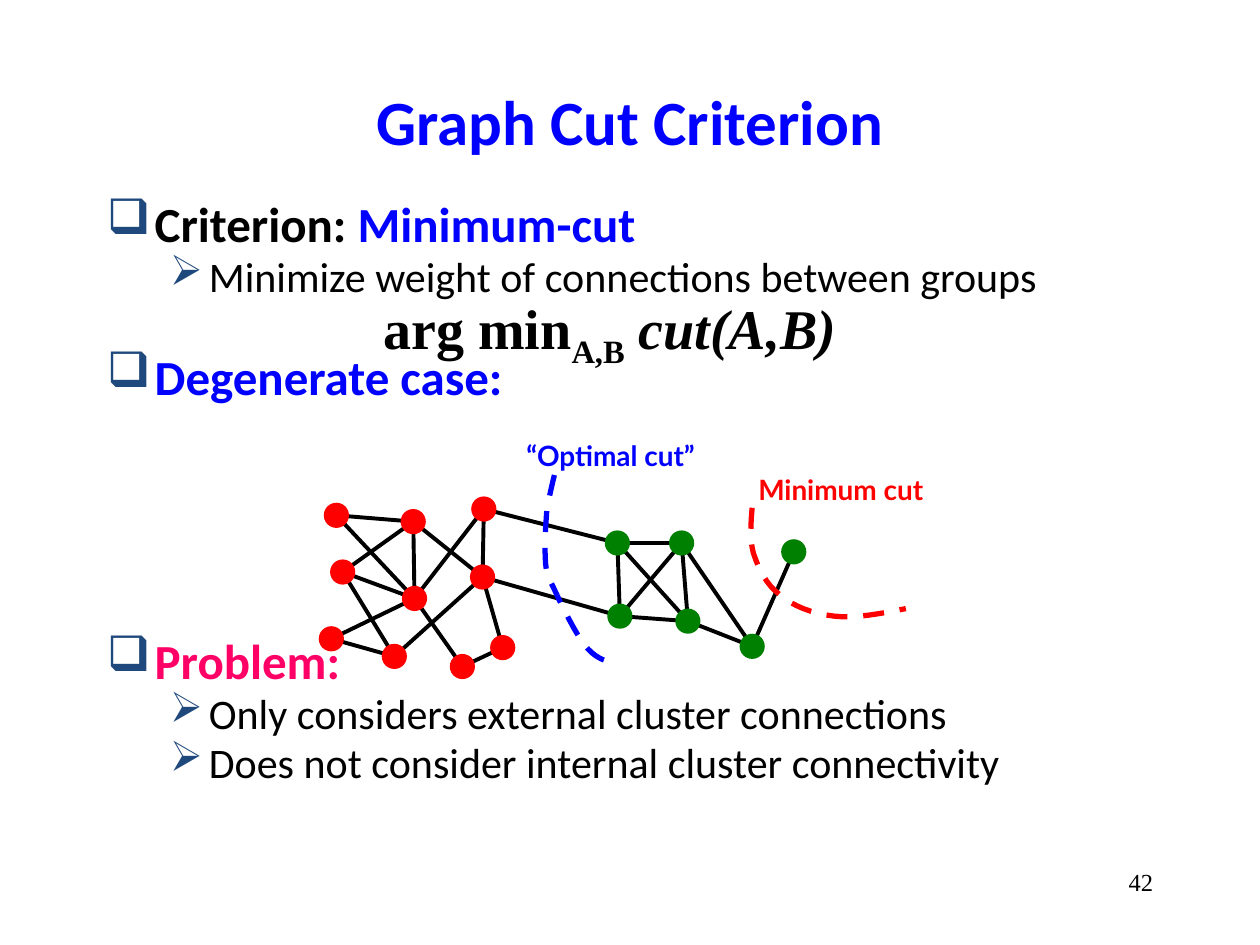
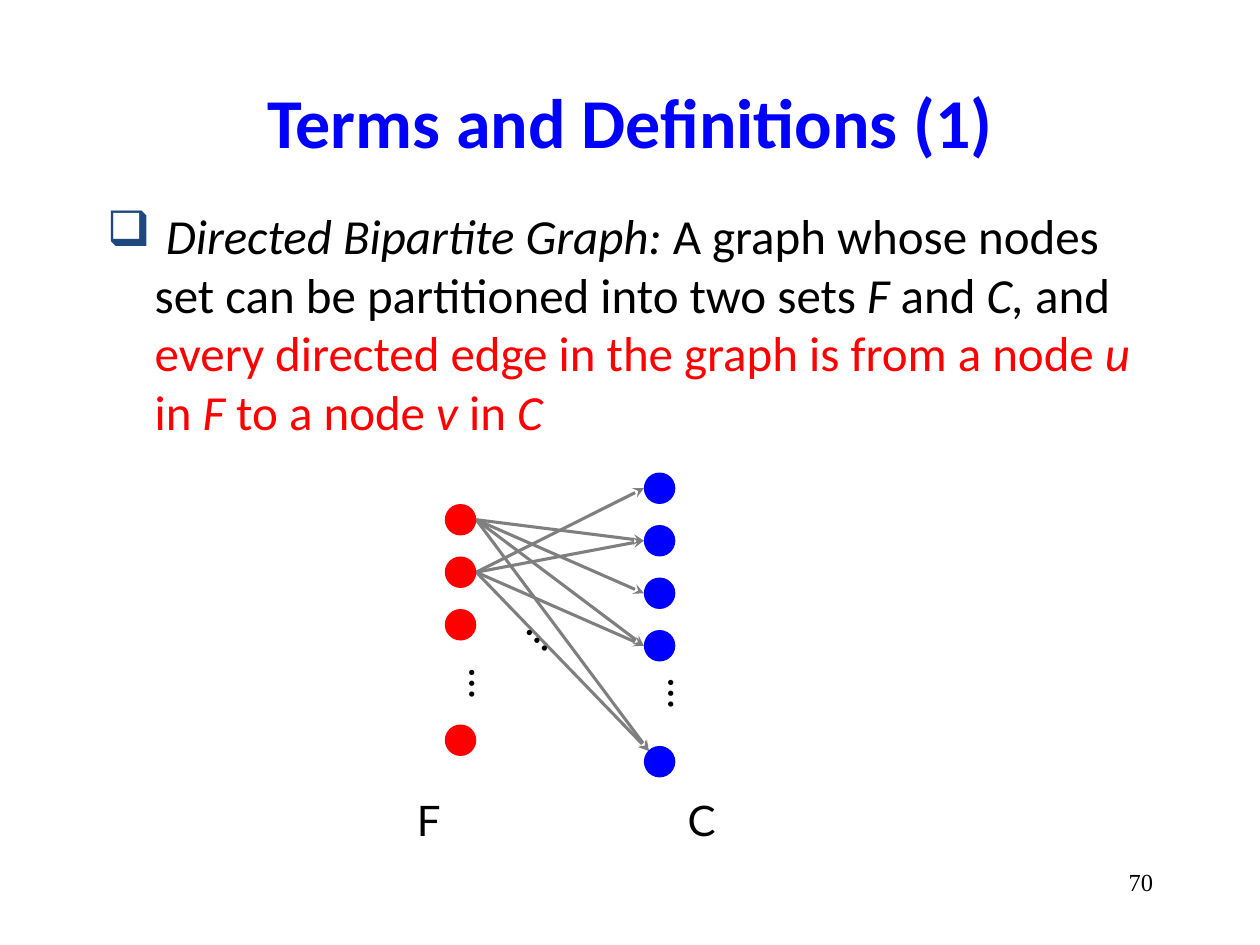
from dataclasses import dataclass

from lxml import etree
from pptx import Presentation
from pptx.dml.color import RGBColor
from pptx.enum.dml import MSO_LINE
from pptx.enum.shapes import MSO_CONNECTOR, MSO_SHAPE
from pptx.enum.text import MSO_ANCHOR, PP_ALIGN
from pptx.oxml.ns import qn
from pptx.util import Inches, Pt


@dataclass(frozen=True)
class Theme:
    black: str = "000000"
    blue: str = "0000FF"
    red: str = "FF0000"
    green: str = "008000"
    pink: str = "FF0066"
    gray: str = "7F7F7F"
    bullet: str = "1F497D"
    body_font: str = "Calibri"
    label_font: str = "Lato"
    serif: str = "Times New Roman"
    bullet_font: str = "OpenSymbol"
    heading: int = 28
    detail: int = 24
    formula: int = 32
    label: int = 16
    number: int = 14


T = Theme()

# Bullet character, left margin and hanging indent in inches, type size
LEVELS = [("❑", 0.38, 0.38, T.heading), ("➢", 0.81, 0.31, T.detail)]

NODE = 0.2
RED_NODES = {
    "a": (2.67, 4.09), "b": (3.28, 4.14), "c": (3.84, 4.04), "d": (2.72, 4.54),
    "e": (3.29, 4.75), "f": (3.83, 4.58), "g": (2.63, 5.07), "h": (3.13, 5.21),
    "i": (3.67, 5.29), "j": (3.99, 5.14),
}
GREEN_NODES = {
    "k": (4.9, 4.31), "l": (5.41, 4.31), "m": (6.3, 4.38),
    "n": (4.92, 4.89), "o": (5.46, 4.93), "p": (5.97, 5.13),
}
GRAPH_EDGES = ("ab ae bd be bf ce cf de dh eg ei fh fj gh ij "
               "ck fn kl kn ko ln lo lp mp no op").split()

# Each cut is a start point followed by Bezier segments
MINIMUM_CUT = (5.97, 4.03), [
    [(5.96, 4.15), (5.95, 4.28), (5.98, 4.39)],
    [(6.02, 4.51), (6.08, 4.64), (6.19, 4.72)],
    [(6.29, 4.81), (6.45, 4.87), (6.62, 4.89)],
    [(6.79, 4.91), (6.99, 4.87), (7.19, 4.83)],
]
OPTIMAL_CUT = (4.4, 3.77), [
    [(4.38, 3.85), (4.36, 3.94), (4.34, 4.05)],
    [(4.33, 4.17), (4.32, 4.36), (4.33, 4.47)],
    [(4.34, 4.58), (4.36, 4.59), (4.41, 4.7)],
    [(4.46, 4.81), (4.57, 5.03), (4.64, 5.12)],
    [(4.72, 5.22), (4.79, 5.24), (4.86, 5.26)],
]

SET_NODE = 0.25
SET_STEP = 1.25 / 3
F_LEFT, C_LEFT = 3.53, 5.11
F_TOPS = [4 + i * SET_STEP for i in range(3)] + [5.75]
C_TOPS = [3.75 + i * SET_STEP for i in range(4)] + [5.92]
SET_EDGES = [(0, 1), (0, 2), (0, 3), (0, 4), (1, 0), (1, 1), (1, 3), (1, 4)]


def rgb(color):
    return RGBColor.from_string(color)


def add_run(p, text, size, font=T.body_font, color=T.black, bold=False,
            italic=False, baseline=None):
    r = p.add_run()
    r.text = text
    f = r.font
    f.size, f.name, f.bold, f.italic = Pt(size), font, bold, italic
    f.color.rgb = rgb(color)
    if baseline:
        r._r.get_or_add_rPr().set("baseline", str(baseline * 1000))


def add_box(slide, left, top, width, height, wrap=True):
    box = slide.shapes.add_textbox(*map(Inches, (left, top, width, height)))
    box.text_frame.word_wrap = wrap
    return box


def add_label(slide, text, at, size, align=PP_ALIGN.LEFT, rotation=0, **fmt):
    box = add_box(slide, *at, wrap=False)
    box.rotation = rotation
    p = box.text_frame.paragraphs[0]
    p.alignment = align
    add_run(p, text, size, **fmt)
    return p


def add_titled_slide(prs, title, size, number):
    slide = prs.slides.add_slide(prs.slide_layouts[5])
    sp = slide.shapes.title
    sp.left, sp.top = Inches(0.75), Inches(0.33)
    sp.width, sp.height = Inches(8.5), Inches(1.25)
    tf = sp.text_frame
    tf.vertical_anchor = MSO_ANCHOR.MIDDLE
    p = tf.paragraphs[0]
    p.alignment = PP_ALIGN.CENTER
    add_run(p, title, size, color=T.blue, bold=True)
    add_label(slide, number, (7.17, 6.83, 2.08, 0.5), T.number,
              PP_ALIGN.RIGHT, font=T.serif)
    return slide


def set_bullet(p, level):
    char, margin, hang, _ = LEVELS[level]
    pPr = p._p.get_or_add_pPr()
    pPr.set("marL", str(Inches(margin)))
    pPr.set("indent", str(-Inches(hang)))
    color = etree.SubElement(pPr, qn("a:buClr"))
    etree.SubElement(color, qn("a:srgbClr")).set("val", T.bullet)
    etree.SubElement(pPr, qn("a:buFont")).set("typeface", T.bullet_font)
    etree.SubElement(pPr, qn("a:buChar")).set("char", char)


def add_bullets(slide, items, line_spacing):
    """Each item is (level, space before in points, [(text, run format), ...])."""
    tf = add_box(slide, 0.75, 1.58, 8.5, 5.08).text_frame
    for i, (level, before, runs) in enumerate(items):
        p = tf.add_paragraph() if i else tf.paragraphs[0]
        set_bullet(p, level)
        p.line_spacing = line_spacing
        p.space_before = Pt(before)
        for text, fmt in runs:
            add_run(p, text, LEVELS[level][3], **fmt)


def add_node(slide, left, top, size, color):
    sp = slide.shapes.add_shape(
        MSO_SHAPE.OVAL, *map(Inches, (left, top, size, size)))
    sp.shadow.inherit = False
    sp.fill.solid()
    sp.fill.fore_color.rgb = rgb(color)
    sp.line.fill.background()


def add_edge(slide, start, end, color, width, arrow=False):
    line = slide.shapes.add_connector(
        MSO_CONNECTOR.STRAIGHT, *map(Inches, (*start, *end)))
    line.line.color.rgb = rgb(color)
    line.line.width = Pt(width)
    if arrow:
        ln = line.line._get_or_add_ln()
        etree.SubElement(ln, qn("a:tailEnd")).set("type", "stealth")
    etree.SubElement(line._element.spPr, qn("a:effectLst"))


def bezier_points(start, segments, steps=8):
    """Sample a chain of cubic Bezier segments, leaving out the start point."""
    points = []
    for c1, c2, end in segments:
        for i in range(1, steps + 1):
            t = i / steps
            u = 1 - t
            weights = u ** 3, 3 * u * u * t, 3 * u * t * t, t ** 3
            points.append(tuple(
                Inches(sum(w * q[axis] for w, q in zip(weights, (start, c1, c2, end))))
                for axis in (0, 1)))
        start = end
    return points


def add_cut(slide, start, segments, color):
    builder = slide.shapes.build_freeform(*map(Inches, start))
    builder.add_line_segments(bezier_points(start, segments), close=False)
    sp = builder.convert_to_shape()
    sp.shadow.inherit = False
    sp.fill.background()
    sp.line.color.rgb = rgb(color)
    sp.line.width = Pt(3)
    sp.line.dash_style = MSO_LINE.DASH


def add_cut_graph(slide):
    nodes = {**RED_NODES, **GREEN_NODES}
    for a, b in GRAPH_EDGES:
        add_edge(slide, nodes[a], nodes[b], T.black, 2.25)
    for group, color in ((RED_NODES, T.red), (GREEN_NODES, T.green)):
        for x, y in group.values():
            add_node(slide, x - NODE / 2, y - NODE / 2, NODE, color)
    add_cut(slide, *MINIMUM_CUT, T.red)
    add_cut(slide, *OPTIMAL_CUT, T.blue)
    add_label(slide, "“Optimal cut”", (4.08, 3.43, 1.74, 0.37), T.label,
              font=T.label_font, color=T.blue, bold=True)
    add_label(slide, "Minimum cut", (5.92, 3.7, 1.66, 0.37), T.label,
              font=T.label_font, color=T.red, bold=True)


def add_bipartite_graph(slide):
    half = SET_NODE / 2
    for f, c in SET_EDGES:
        end = C_LEFT, C_TOPS[c] + half
        if c == len(C_TOPS) - 1:  # steep edges meet the node at its upper left
            end = C_LEFT + 0.04, C_TOPS[c] + 0.04
        start = F_LEFT + SET_NODE, F_TOPS[f] + half
        add_edge(slide, start, end, T.gray, 1.75, arrow=True)
    for left, tops, color in ((F_LEFT, F_TOPS, T.red), (C_LEFT, C_TOPS, T.blue)):
        for top in tops:
            add_node(slide, left, top, SET_NODE, color)
    for left, top, rotation in ((3.38, 5.25, 270), (4.96, 5.33, 270), (3.96, 5.02, 225.9)):
        add_label(slide, "…", (left, top, 0.4, 0.4), T.detail,
                  rotation=rotation, font=T.label_font)
    for name, left in (("F", 3.21), ("C", 5.36)):
        add_label(slide, name, (left, 6.26, 0.4, 0.5), T.detail, font=T.label_font)


def build_cut_slide(prs):
    slide = add_titled_slide(prs, "Graph Cut Criterion", 36, "42")
    add_bullets(slide, [
        (0, 0, [("Criterion: ", dict(bold=True)),
                ("Minimum-cut", dict(bold=True, color=T.blue))]),
        (1, 4.8, [("Minimize weight of connections between groups", {})]),
        (0, 32.5, [("Degenerate case:", dict(bold=True, color=T.blue))]),
        (0, 135.5, [("Problem:", dict(bold=True, color=T.pink))]),
        (1, 4.8, [("Only considers external cluster connections", {})]),
        (1, 4.8, [("Does not consider internal cluster connectivity", {})]),
    ], line_spacing=0.8)
    formula = dict(size=T.formula, font=T.serif, bold=True)
    p = add_label(slide, "arg min", (2.73, 2.28, 4.22, 0.64),
                  align=PP_ALIGN.CENTER, **formula)
    add_run(p, "A,B", baseline=-25, **formula)
    add_run(p, " cut(A,B)", italic=True, **formula)
    add_cut_graph(slide)


def build_terms_slide(prs):
    slide = add_titled_slide(prs, "Terms and Definitions (1)", 40, "70")
    italic, red = dict(italic=True), dict(color=T.red)
    red_italic = {**italic, **red}
    add_bullets(slide, [(0, 0, [
        (" ", {}), ("Directed Bipartite Graph: ", italic),
        ("A graph whose nodes set can be partitioned into two sets ", {}),
        ("F", italic), (" and ", {}), ("C,", italic), (" and ", {}),
        ("every directed edge in the graph is from a node ", red),
        ("u", red_italic), (" in ", red), ("F", red_italic),
        (" to a node ", red), ("v ", red_italic), ("in ", red), ("C", red_italic),
    ])], line_spacing=1.0)
    add_bipartite_graph(slide)


def main():
    prs = Presentation()
    prs.slide_width, prs.slide_height = Inches(10), Inches(7.5)
    build_cut_slide(prs)
    build_terms_slide(prs)
    prs.save("out.pptx")


if __name__ == "__main__":
    main()
